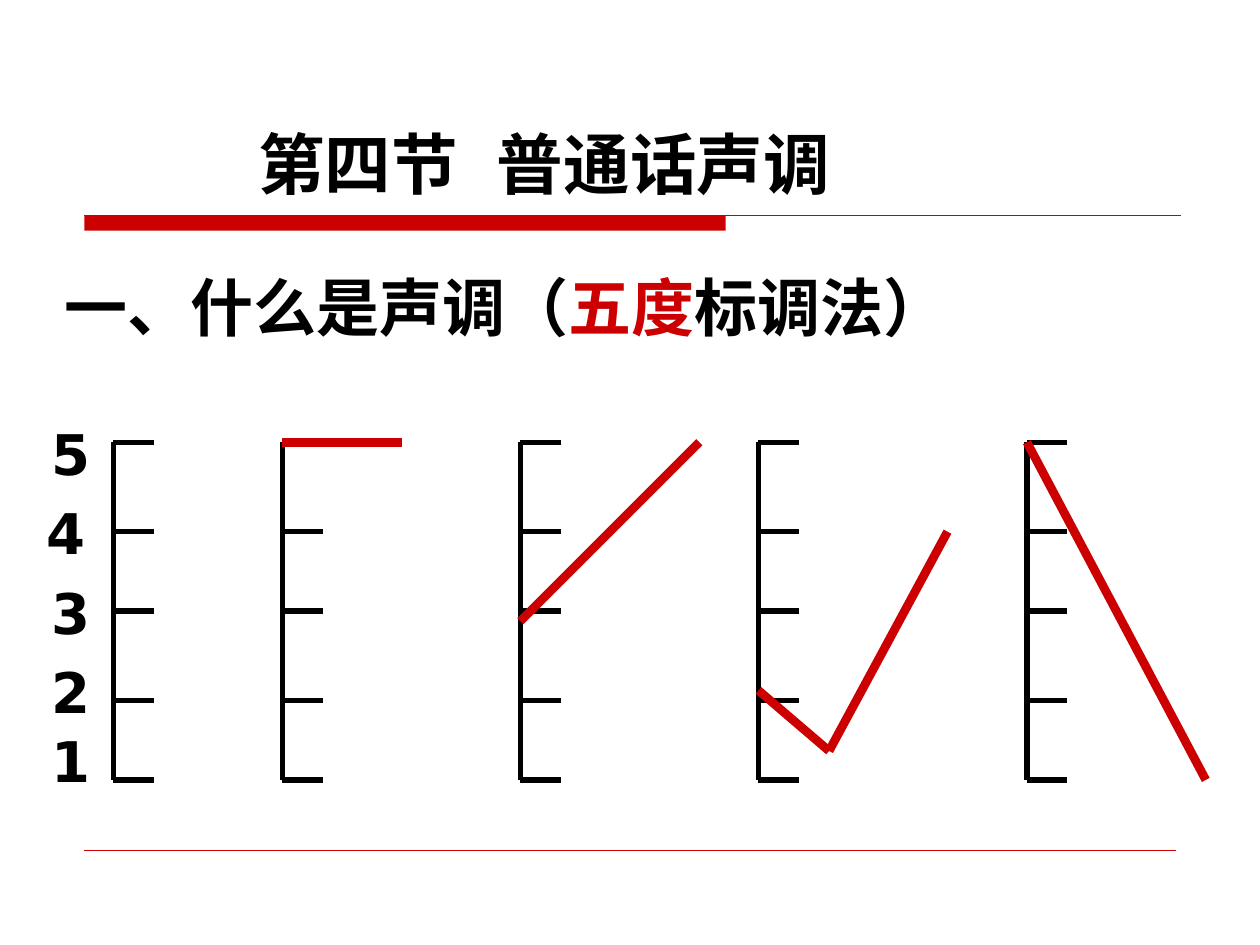
import dataclasses

import pptx
import pptx.dml.color
import pptx.enum.shapes
import pptx.enum.text
import pptx.oxml.ns
import pptx.util
from lxml import etree

Inches = pptx.util.Inches
Pt = pptx.util.Pt
Point = tuple[float, float]

FONT = "DejaVu Sans"
BLACK = "000000"
RED = "CC0000"
LEVELS = {5: 3.51, 4: 4.22, 3: 4.85, 2: 5.56, 1: 6.19}
TICK_LENGTH = 0.32


@dataclasses.dataclass
class Run:
    text: str
    color: str = BLACK
    spacing: float = 0


@dataclasses.dataclass
class ToneChart:
    left: float
    contour: list[Point]


@dataclasses.dataclass
class LevelLabel:
    text: str
    left: float
    top: float


TONE_CHARTS = [
    ToneChart(0.9, []),
    ToneChart(2.24, [(2.24, 3.51), (3.19, 3.51)]),
    ToneChart(4.13, [(4.13, 4.93), (5.55, 3.51)]),
    ToneChart(6.02, [(6.02, 5.48), (6.58, 5.96), (7.52, 4.22)]),
    ToneChart(8.15, [(8.15, 3.51), (9.57, 6.19)]),
]

LEVEL_LABELS = [
    LevelLabel("5", 0.31, 3.28),
    LevelLabel("4", 0.27, 3.91),
    LevelLabel("3", 0.31, 4.54),
    LevelLabel("2", 0.31, 5.17),
    LevelLabel("1", 0.31, 5.72),
]


def rgb(color: str) -> pptx.dml.color.RGBColor:
    return pptx.dml.color.RGBColor.from_string(color)


def set_attributes(target, values: dict) -> None:
    for name, value in values.items():
        setattr(target, name, value)


def place(shape, left: float, top: float, width: float, height: float) -> None:
    set_attributes(shape, {
        "left": Inches(left), "top": Inches(top),
        "width": Inches(width), "height": Inches(height),
    })


def add_line(slide, start: Point, end: Point, color: str, width: float) -> None:
    line = slide.shapes.add_connector(
        pptx.enum.shapes.MSO_CONNECTOR.STRAIGHT,
        *(Inches(length) for length in start + end))
    line.line.color.rgb = rgb(color)
    line.line.width = Pt(width)
    etree.SubElement(line._element.spPr, pptx.oxml.ns.qn("a:effectLst"))


def write_runs(paragraph, runs: list[Run], size: float) -> None:
    for item in runs:
        run = paragraph.add_run()
        run.text = item.text
        set_attributes(run.font, {"name": FONT, "size": Pt(size), "bold": True})
        run.font.color.rgb = rgb(item.color)
        properties = run.font._element
        east_asian = etree.SubElement(properties, pptx.oxml.ns.qn("a:ea"))
        east_asian.set("typeface", FONT)
        if item.spacing:
            properties.set("spc", str(round(item.spacing * 100)))


def fill_placeholder(shape, runs: list[Run], size: float, anchor,
                     indent: float, space_before: float) -> None:
    """Write one left-aligned paragraph without a bullet."""
    set_attributes(shape.text_frame, {
        "vertical_anchor": anchor, "word_wrap": True,
        "auto_size": pptx.enum.text.MSO_AUTO_SIZE.NONE,
    })
    paragraph = shape.text_frame.paragraphs[0]
    set_attributes(paragraph, {
        "alignment": pptx.enum.text.PP_ALIGN.LEFT,
        "space_before": Pt(space_before),
    })
    properties = paragraph._p.get_or_add_pPr()
    properties.set("marL", str(Inches(indent)))
    properties.set("indent", "0")
    etree.SubElement(properties, pptx.oxml.ns.qn("a:buNone"))
    write_runs(paragraph, runs, size)


def add_header_rule(slide) -> None:
    bar = slide.shapes.add_shape(
        pptx.enum.shapes.MSO_SHAPE.RECTANGLE,
        Inches(0.67), Inches(1.71), Inches(5.09), Inches(0.12))
    bar.shadow.inherit = False
    bar.fill.solid()
    bar.fill.fore_color.rgb = rgb(RED)
    bar.line.fill.background()
    add_line(slide, (0.67, 1.71), (9.37, 1.71), RED, 0.75)


def add_tone_chart(slide, chart: ToneChart) -> None:
    """Draw a five-level scale and the tone contour on it."""
    add_line(slide, (chart.left, LEVELS[5]), (chart.left, LEVELS[1]), BLACK, 3)
    for height in LEVELS.values():
        add_line(slide, (chart.left, height),
                 (chart.left + TICK_LENGTH, height), BLACK, 3)
    for start, end in zip(chart.contour, chart.contour[1:]):
        add_line(slide, start, end, RED, 5)


def add_level_label(slide, label: LevelLabel) -> None:
    box = slide.shapes.add_textbox(
        Inches(label.left), Inches(label.top), Inches(0.45), Inches(0.64))
    box.text_frame.word_wrap = False
    write_runs(box.text_frame.paragraphs[0], [Run(label.text)], 32)


def main() -> None:
    presentation = pptx.Presentation()
    set_attributes(presentation, {
        "slide_width": Inches(10), "slide_height": Inches(7.5)})
    slide = presentation.slides.add_slide(presentation.slide_layouts[1])

    title, body = slide.placeholders
    place(title, 0.63, 0.33, 8.75, 1.33)
    fill_placeholder(
        title, [Run("第四节"), Run(" ", spacing=9), Run("普通话声调")],
        38, pptx.enum.text.MSO_ANCHOR.BOTTOM, 1.32, 0)
    place(body, 0.33, 2.08, 9.67, 4.59)
    fill_placeholder(
        body, [Run("一、什么是声调（"), Run("五度", RED), Run("标调法）")],
        36, pptx.enum.text.MSO_ANCHOR.TOP, 0.08, 9)

    add_header_rule(slide)
    add_line(slide, (0.67, 6.75), (9.33, 6.75), RED, 0.25)
    for chart in TONE_CHARTS:
        add_tone_chart(slide, chart)
    for label in LEVEL_LABELS:
        add_level_label(slide, label)

    presentation.save("out.pptx")


if __name__ == "__main__":
    main()
